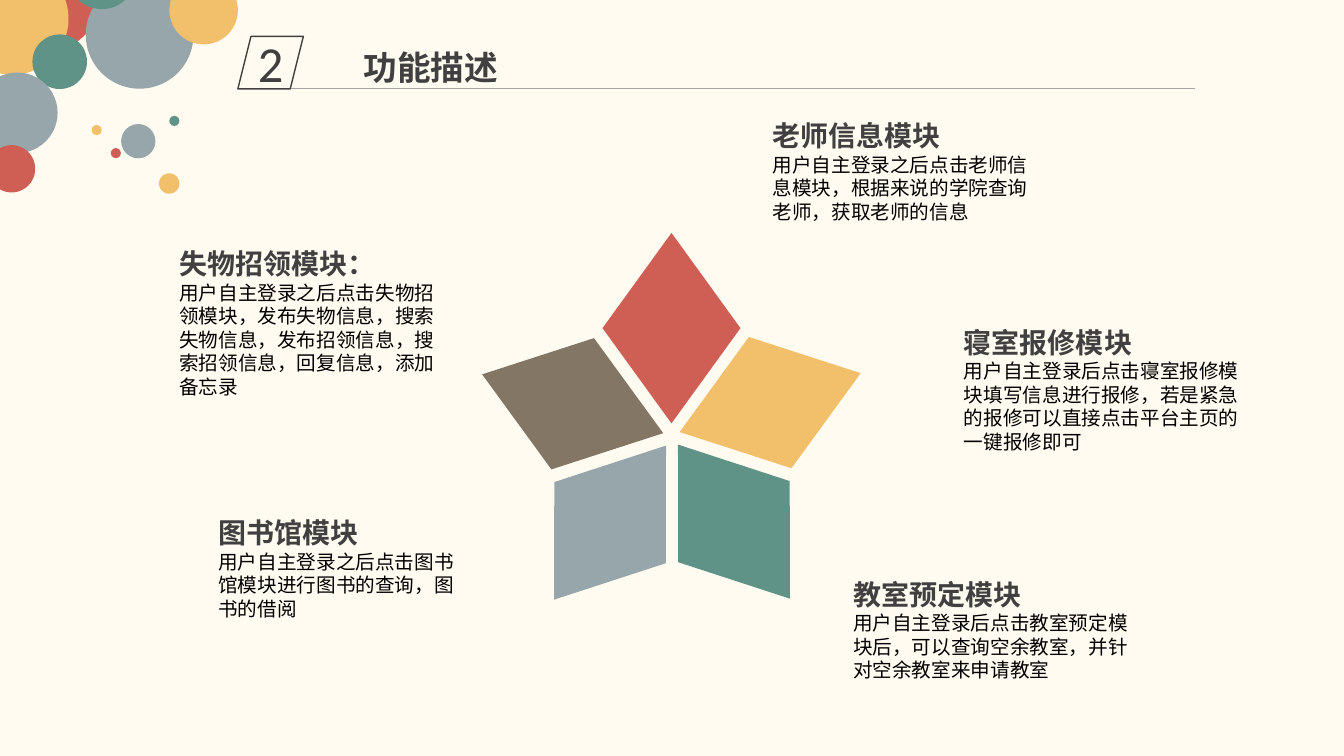
import pptx
import pptx.dml.color
import pptx.enum.shapes
import pptx.enum.text
import pptx.oxml.ns
import pptx.util
from lxml import etree

Pt = pptx.util.Pt
SHAPE = pptx.enum.shapes.MSO_SHAPE
RED, YELLOW, GREEN, GREY, BROWN = "CF5F55", "F2C06B", "5F9387", "97A6AB", "837664"
DARK, BLACK = "404040", "000000"


def colour(hex_string):
    return pptx.dml.color.RGBColor.from_string(hex_string)


def write_text(para, text, size, font="Arial", ink=BLACK, bold=False, spacing=1.2):
    para.line_spacing = Pt(round(size * spacing, 1))
    span = para.add_run()
    span.text = text
    span.font.name = font
    span.font.size = Pt(size)
    span.font.bold = bold
    span.font.color.rgb = colour(ink)
    east_asian = etree.SubElement(span._r.get_or_add_rPr(), pptx.oxml.ns.qn("a:ea"))
    east_asian.set("typeface", font)


deck = pptx.Presentation()
deck.slide_width, deck.slide_height = Pt(960.5), Pt(540)
page = deck.slides.add_slide(deck.slide_layouts[6])
page.background.fill.solid()
page.background.fill.fore_color.rgb = colour("FFFBF0")

# Star petals: centre and colour, each turned a fifth of a circle further
petals = [
    (479.9, 234.4, RED),
    (550.4, 287.6, YELLOW),
    (524.5, 372.6, GREEN),
    (436, 373.3, GREY),
    (409.3, 288.4, BROWN),
]
for index, (x, y, fill) in enumerate(petals):
    petal = page.shapes.add_shape(SHAPE.DIAMOND, Pt(x - 49.3), Pt(y - 68), Pt(98.6), Pt(136))
    petal.rotation = index * 72
    petal.shadow.inherit = False
    petal.fill.solid()
    petal.fill.fore_color.rgb = colour(fill)
    petal.line.fill.background()

# Corner bubbles: left, top, diameter, colour
bubbles = [
    (3, -31.7, 67, RED),
    (-31, -26.6, 80, YELLOW),
    (23.2, 24.6, 39, GREEN),
    (-16.4, 51.8, 57.6, GREY),
    (61.3, -13.6, 77, GREY),
    (48.2, -42.5, 49, GREEN),
    (-8.6, 103.7, 33.8, RED),
    (86.6, 88.6, 24.5, GREY),
    (79.2, 105.8, 7.2, RED),
    (65.5, 89.3, 7.2, YELLOW),
    (121, 82.8, 7.2, GREEN),
    (113.6, 123.8, 14.6, YELLOW),
    (121, -17.3, 49, YELLOW),
]
for left, top, diameter, fill in bubbles:
    bubble = page.shapes.add_shape(SHAPE.OVAL, Pt(left), Pt(top), Pt(diameter), Pt(diameter))
    bubble.shadow.inherit = False
    bubble.fill.solid()
    bubble.fill.fore_color.rgb = colour(fill)
    bubble.line.fill.background()

# Module descriptions: left, top, width, height, heading, body
modules = [
    (121, 172.8, 208.8, 116, "失物招领模块：",
     "用户自主登录之后点击失物招领模块，发布失物信息，搜索失物信息，发布招领信息，搜索招领信息，回复信息，添加备忘录"),
    (149, 365, 196, 82, "图书馆模块",
     "用户自主登录之后点击图书馆模块进行图书的查询，图书的借阅"),
    (602.6, 409, 223, 82, "教室预定模块",
     "用户自主登录后点击教室预定模块后，可以查询空余教室，并针对空余教室来申请教室"),
    (681.8, 229, 224, 99.4, "寝室报修模块",
     "用户自主登录后点击寝室报修模块填写信息进行报修，若是紧急的报修可以直接点击平台主页的一键报修即可"),
    (545, 81.4, 198, 82, "老师信息模块",
     "用户自主登录之后点击老师信息模块，根据来说的学院查询老师，获取老师的信息"),
]
for left, top, width, height, heading, body in modules:
    box = page.shapes.add_textbox(Pt(left), Pt(top), Pt(width), Pt(height))
    box.text_frame.word_wrap = True
    write_text(box.text_frame.paragraphs[0], heading, size=20, ink=DARK, bold=True)
    write_text(box.text_frame.add_paragraph(), body, size=14)

# Header rule
rule = page.shapes.add_connector(
    pptx.enum.shapes.MSO_CONNECTOR.STRAIGHT, Pt(204.5), Pt(63.4), Pt(854), Pt(63.4))
rule.line.color.rgb = colour("A6A6A6")
rule.line.width = Pt(0.5)
etree.SubElement(rule._element.spPr, pptx.oxml.ns.qn("a:effectLst"))

# Section number
badge = page.shapes.add_shape(SHAPE.PARALLELOGRAM, Pt(170), Pt(26), Pt(46.8), Pt(37.5))
badge.shadow.inherit = False
badge.fill.background()
badge.line.color.rgb = colour(DARK)
badge.line.width = Pt(1)
frame = badge.text_frame
frame.word_wrap = False
frame.margin_left = frame.margin_right = 0
frame.vertical_anchor = pptx.enum.text.MSO_ANCHOR.MIDDLE
frame.paragraphs[0].alignment = pptx.enum.text.PP_ALIGN.CENTER
write_text(frame.paragraphs[0], "2", size=36, font="Calibri", ink=DARK)

# Page title
title = page.shapes.add_textbox(Pt(252.7), Pt(30), Pt(369), Pt(36))
title.text_frame.word_wrap = True
write_text(title.text_frame.paragraphs[0], "功能描述", size=24,
           font="Noto Sans CJK SC", ink=DARK, bold=True)

deck.save("out.pptx")
